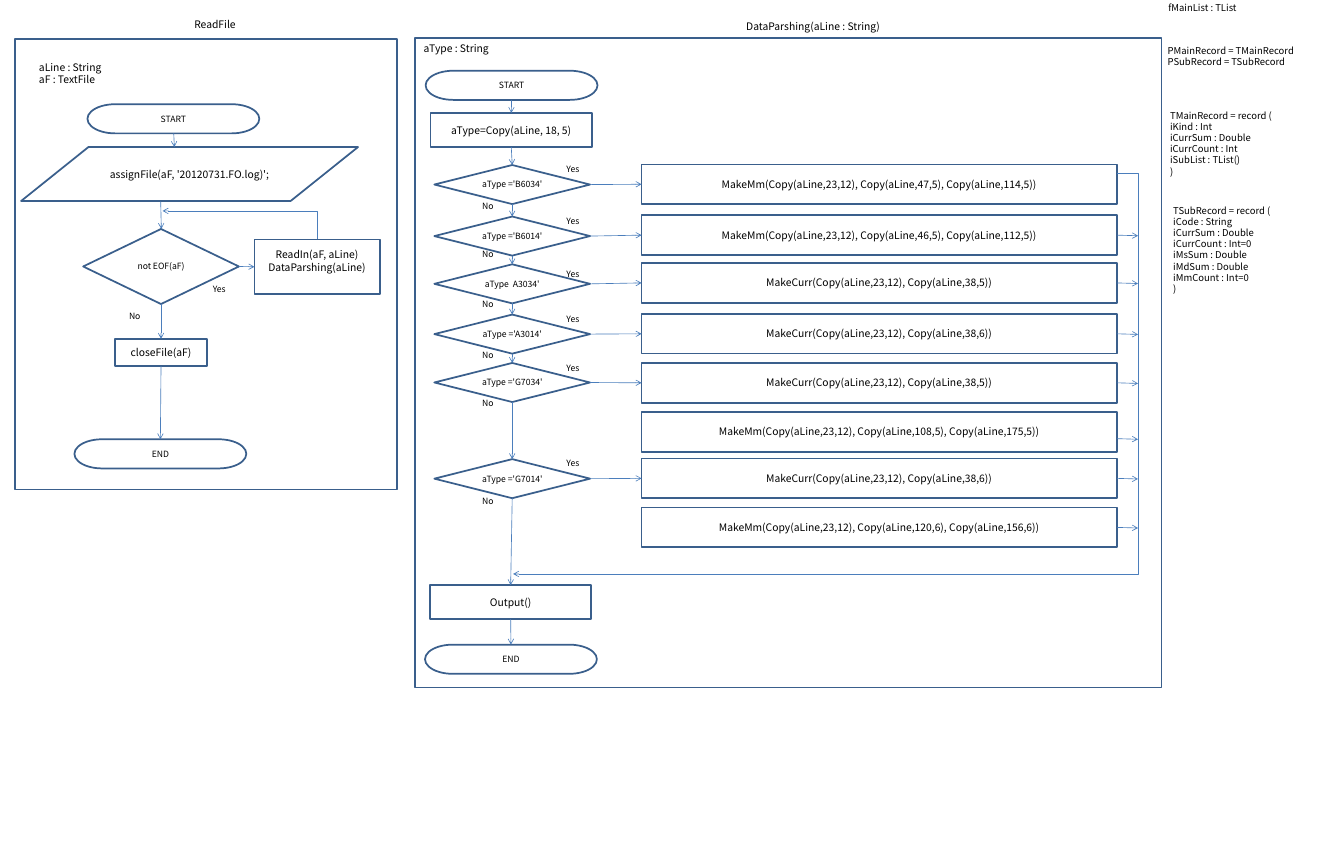
from collections import namedtuple
from itertools import pairwise
from lxml.etree import SubElement
from pptx import Presentation
from pptx.dml.color import RGBColor
from pptx.enum.shapes import MSO_CONNECTOR, MSO_SHAPE
from pptx.enum.text import MSO_ANCHOR, MSO_AUTO_SIZE, PP_ALIGN
from pptx.oxml.ns import qn
from pptx.util import Inches, Pt

Theme = namedtuple("Theme", "font ink outline arrow small record body leading outline_width arrow_width")
THEME = Theme("Noto Sans CJK KR", RGBColor(0, 0, 0), RGBColor(0x3A, 0x5F, 0x8C),
              RGBColor(0x4B, 0x7E, 0xBC), 10, 11, 12, 1.18, 2, 0.75)
Box = namedtuple("Box", "left top width height")
TOP, LEFT, BOTTOM, RIGHT = range(4)

CHECKS = [
    (2.05, "aType ='B6034'", 2.04, 2.63),
    (2.88, "aType ='B6014'", 2.88, 3.40),
    (3.65, "aType  A3034'", 3.72, 4.21),
    (4.46, "aType ='A3014'", 4.46, 5.04),
    (5.24, "aType ='G7034'", 5.24, 5.81),
    (6.79, "aType ='G7014'", 6.78, 7.38),
]
CALLS = [
    (2.04, "MakeMm(Copy(aLine,23,12), Copy(aLine,47,5), Copy(aLine,114,5))", 0),
    (2.86, "MakeMm(Copy(aLine,23,12), Copy(aLine,46,5), Copy(aLine,112,5))", 0),
    (3.63, "MakeCurr(Copy(aLine,23,12), Copy(aLine,38,5))", 0),
    (4.45, "MakeCurr(Copy(aLine,23,12), Copy(aLine,38,6))", 0),
    (5.24, "MakeCurr(Copy(aLine,23,12), Copy(aLine,38,5))", 0),
    (6.03, "MakeMm(Copy(aLine,23,12), Copy(aLine,108,5), Copy(aLine,175,5))", 0.11),
    (6.78, "MakeCurr(Copy(aLine,23,12), Copy(aLine,38,6))", 0),
    (7.57, "MakeMm(Copy(aLine,23,12), Copy(aLine,120,6), Copy(aLine,156,6))", 0),
]
DECLARATIONS = [
    (0.01, 0, 2.67, 0.29, "fMainList : TList"),
    (0, 0.69, 2.27, 0.47, "PMainRecord = TMainRecord\nPSubRecord = TSubRecord"),
    (0.04, 1.73, 2.33, 1.21, "TMainRecord = record (\niKind : Int\niCurrSum : Double\n"
     "iCurrCount : Int\niSubList : TList()\n)"),
    (0.09, 3.26, 2.33, 1.58, "TSubRecord = record (\niCode : String\niCurrSum : Double\n"
     "iCurrCount : Int=0\niMsSum : Double\niMdSum : Double\niMmCount : Int=0\n)"),
]


def write(frame, text, size=THEME.body, align=PP_ALIGN.CENTER, anchor=MSO_ANCHOR.MIDDLE,
          inset=(0, 0), wrap=True):
    frame.auto_size = MSO_AUTO_SIZE.NONE
    frame.word_wrap = wrap
    frame.vertical_anchor = anchor
    frame.margin_left = frame.margin_right = Inches(inset[0])
    frame.margin_top = frame.margin_bottom = Inches(inset[1])
    frame.text = text
    for paragraph in frame.paragraphs:
        paragraph.alignment = align
        paragraph.line_spacing = Pt(round(size * THEME.leading, 1))
        paragraph.space_before = paragraph.space_after = Pt(0)
        paragraph.font.name = THEME.font
        paragraph.font.size = Pt(size)
        paragraph.font.color.rgb = THEME.ink


class Region:
    def __init__(self, slide, box):
        self.shapes, self.box = slide.shapes, box

    def point(self, x, y):
        return Inches(self.box.left + x), Inches(self.box.top + y)

    def node(self, kind, x, y, width, height, text="", **style):
        node = self.shapes.add_shape(kind, *self.point(x, y), Inches(width), Inches(height))
        node.shadow.inherit = False
        node.fill.background()
        node.line.color.rgb = THEME.outline
        node.line.width = Pt(THEME.outline_width)
        if text:
            write(node.text_frame, text, **style)
        return node

    def step(self, *place, **style):
        return self.node(MSO_SHAPE.RECTANGLE, *place, **style)

    def terminal(self, x, y, text):
        return self.node(MSO_SHAPE.FLOWCHART_TERMINATOR, x, y, 2.77, 0.47, text, size=THEME.small)

    def decision(self, x, y, height, text):
        return self.node(MSO_SHAPE.FLOWCHART_DECISION, x, y, 2.51, height, text,
                         size=THEME.small, inset=(0, 0.01))

    def label(self, x, y, width, height, text, **style):
        caption = self.shapes.add_textbox(*self.point(x, y), Inches(width), Inches(height))
        write(caption.text_frame, text,
              **{"align": PP_ALIGN.LEFT, "anchor": MSO_ANCHOR.TOP, **style})

    def answer(self, x, y, text):
        self.label(x, y, 0.4, 0.17, text, size=THEME.small)

    def arrow(self, start, end, bend=None):
        kind = MSO_CONNECTOR.STRAIGHT if bend is None else MSO_CONNECTOR.ELBOW
        arrow = self.shapes.add_connector(kind, *self.point(*start), *self.point(*end))
        arrow.line.color.rgb = THEME.arrow
        arrow.line.width = Pt(THEME.arrow_width)
        properties = arrow._element.spPr
        SubElement(properties.find(qn("a:ln")), qn("a:tailEnd"), type="arrow")
        SubElement(properties, qn("a:effectLst"))
        if bend is not None:
            geometry = properties.find(qn("a:prstGeom"))
            guides = geometry.find(qn("a:avLst"))
            if guides is None:
                guides = SubElement(geometry, qn("a:avLst"))
            SubElement(guides, qn("a:gd"), name="adj1", fmla=f"val {round(bend * 100000)}")
        return arrow

    def join(self, source, target, leave=BOTTOM, enter=TOP):
        arrow = self.arrow((0, 0), (0, 0))
        arrow.begin_connect(source, leave)
        arrow.end_connect(target, enter)


def draw_read_file(slide, box):
    region = Region(slide, box)
    region.step(0, 0, box.width, box.height)
    region.label(0, -0.35, 6.45, 0.22, "ReadFile", align=PP_ALIGN.CENTER, anchor=MSO_ANCHOR.MIDDLE)
    region.label(0.29, 0.31, 1.64, 0.5, "aLine : String\naF : TextFile", inset=(0.1, 0.05))
    region.terminal(1.17, 1.05, "START")
    region.node(MSO_SHAPE.FLOWCHART_DATA, 0.1, 1.74, 5.43, 0.87, "assignFile(aF, '20120731.FO.log)';")
    end_of_file = region.decision(1.1, 3.06, 1.21, "not EOF(aF)")
    read_line = region.step(3.86, 3.23, 2.02, 0.88, "ReadIn(aF, aLine)\nDataParshing(aLine)",
                            anchor=MSO_ANCHOR.TOP, inset=(0, 0.15))
    close_file = region.step(1.61, 4.83, 1.49, 0.44, "closeFile(aF)")
    end = region.terminal(0.96, 6.45, "END")
    region.answer(3.19, 3.95, "Yes")
    region.answer(1.84, 4.39, "No")
    region.arrow((2.56, 1.52), (2.57, 1.74))
    region.arrow((2.35, 2.62), (2.36, 3.06))
    region.join(end_of_file, read_line, RIGHT, LEFT)
    region.arrow((4.87, 3.23), (2.38, 2.77), bend=0)
    region.join(end_of_file, close_file)
    region.join(close_file, end)


def draw_data_parsing(slide, box):
    region = Region(slide, box)
    region.step(0, 0, box.width, box.height)
    title = slide.shapes.title
    title.left, title.top = region.point(1.19, -0.3)
    title.width, title.height = Inches(10.45), Inches(0.22)
    write(title.text_frame, "DataParshing(aLine : String)")
    region.label(0.04, 0.02, 3.23, 0.3, "aType : String", inset=(0.1, 0.05))

    calls = {}
    merge_x = 11.65
    for top, text, drop in CALLS:
        calls[top] = region.step(3.65, top, 7.66, 0.64, text)
        if top != CALLS[0][0]:
            exit_y = top + 0.32 + drop
            region.arrow((11.31, exit_y), (merge_x, exit_y + 0.01))

    flow = [region.terminal(0.17, 0.53, "START"),
            region.step(0.25, 1.21, 2.6, 0.55, "aType=Copy(aLine, 18, 5)")]
    for top, text, yes_top, no_top in CHECKS:
        check = region.decision(0.31, top, 0.63, text)
        nearest = min(calls, key=lambda call_top: abs(call_top - top))
        region.join(check, calls[nearest], RIGHT, LEFT)
        region.answer(2.44, yes_top, "Yes")
        region.answer(1.08, no_top, "No")
        flow.append(check)
    flow += [region.step(0.24, 8.82, 2.6, 0.55, "Output()"), region.terminal(0.16, 9.78, "END")]
    for source, target in pairwise(flow):
        region.join(source, target)
    region.arrow((11.31, 2.19), (1.58, 8.64), bend=-0.035)


def draw_declarations(slide, box):
    region = Region(slide, box)
    for *place, text in DECLARATIONS:
        region.label(*place, text, size=THEME.record, inset=(0.1, 0.05), wrap=False)


deck = Presentation()
deck.slide_width, deck.slide_height = Inches(21.66), Inches(13.78)
flowchart = deck.slides.add_slide(deck.slide_layouts[5])
draw_read_file(flowchart, Box(0.24, 0.63, 6.16, 7.26))
draw_data_parsing(flowchart, Box(6.69, 0.61, 12.03, 10.47))
draw_declarations(flowchart, Box(18.72, -0.01, 2.67, 4.84))
deck.save("out.pptx")
